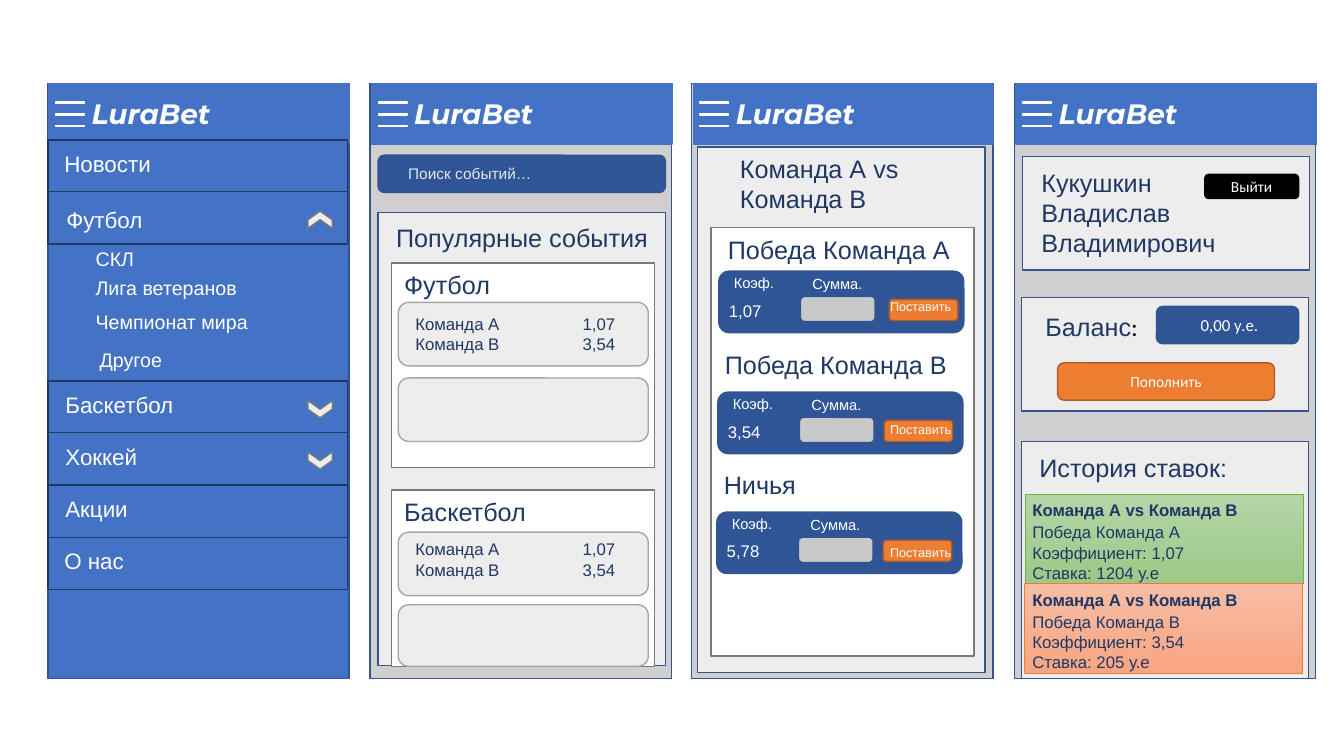
from pptx import Presentation
from pptx.dml.color import RGBColor as Rgb
from pptx.enum.shapes import MSO_SHAPE as Kind
from pptx.enum.text import MSO_ANCHOR as Anchor, MSO_AUTO_SIZE as Fit, PP_ALIGN as Align
from pptx.util import Inches, Pt

HUES = {
    "blue": "4472C4", "deep": "2F5597", "edge": "325491", "navy": "203864",
    "white": "FFFFFF", "black": "000000", "back": "D0CECE", "pale": "EDEDED",
    "mist": "E7E6E6", "field": "C9C9C9", "gray": "A5A5A5", "dark": "7A7A7A",
    "fire": "ED7D31", "rust": "AF5C24", "leaf": "70AD47",
    "green1": "B5D5A7", "green2": "9CC987", "red1": "F7BDA5", "red2": "F8A582",
}
BRAND = "LuraBet"
PHONES = (0.47, 3.67, 6.86, 10.06)
MENU = [
    ("Новости", 1.39, 0.54, 1.44, 1.07, None),
    ("Футбол", 1.9, 0.56, 2.0, 0.97, 270),
    ("Баскетбол", 3.78, 0.55, 3.83, 1.29, 90),
    ("Хоккей", 4.29, 0.55, 4.35, 0.92, 90),
    ("Акции", 4.81, 0.55, 4.86, 0.83, None),
    ("О нас", 5.33, 0.54, 5.38, 0.8, None),
]
LEAGUES = [
    ("СКЛ", 0.85, 2.4, 0.61),
    ("Лига ветеранов", 0.85, 2.69, 1.67),
    ("Чемпионат мира", 0.85, 3.03, 1.72),
    ("Другое", 0.89, 3.4, 0.82),
]
ODDS = "Команда А\t1,07\nКоманда В\t3,54"
SPORTS = [
    ("Футбол", 1.06, 2.61, 2.03, 3.06, ((3.0, 0.63), (3.75, 0.63))),
    ("Баскетбол", 1.42, 4.86, 1.75, 5.3, ((5.28, 0.63), (6.0, 0.61))),
]
BETS = [
    ("Победа Команда А", 7.12, 2.28, 2.43, "1,07", 7.13, 2.69, 8.82, 2.92),
    ("Победа Команда В", 7.09, 3.42, 2.43, "3,54", 7.12, 3.89, 8.77, 4.14),
    ("Ничья", 7.08, 4.61, 0.92, "5,78", 7.11, 5.08, 8.76, 5.36),
]
MATCH = "Команда А vs Команда В"
PAST = [
    ("Победа Команда А\nКоэффициент: 1,07\nСтавка: 1204 у.е", 10.17, 4.9, "green1", "green2", "leaf"),
    ("Победа Команда В\nКоэффициент: 3,54\nСтавка: 205 у.е", 10.16, 5.79, "red1", "red2", "fire"),
]

deck = Presentation()
deck.slide_width, deck.slide_height = Inches(13.33), Inches(7.5)
slide = deck.slides.add_slide(deck.slide_layouts[6])


def hue(name):
    return Rgb.from_string(HUES[name])


def style(par, size, color, face="Arial", bold=False, slant=False):
    for run in par.runs:
        font = run.font
        font.size, font.name = Pt(size), face
        font.bold, font.italic = bold, slant
        font.color.rgb = hue(color)


def box(x, y, w, h, fill, line, kind=Kind.RECTANGLE, text=None, wide=1):
    shape = slide.shapes.add_shape(kind, Inches(x), Inches(y), Inches(w), Inches(h))
    shape.shadow.inherit = False
    if isinstance(fill, tuple):
        shape.fill.gradient()
        shape.fill.gradient_angle = 270
        for stop, name in zip(shape.fill.gradient_stops, fill):
            stop.color.rgb = hue(name)
    else:
        shape.fill.solid()
        shape.fill.fore_color.rgb = hue(fill)
    shape.line.color.rgb = hue(line)
    shape.line.width = Pt(wide)
    if text:
        frame = shape.text_frame
        frame.text = text
        frame.vertical_anchor = Anchor.MIDDLE
        frame.paragraphs[0].alignment = Align.CENTER
        style(frame.paragraphs[0], 11, "white", "Calibri")
    return shape


def pill(x, y, w, h, fill, line, text=None):
    return box(x, y, w, h, fill, line, Kind.ROUNDED_RECTANGLE, text)


def label(text, x, y, w, h, size, color, wrap=False, **look):
    area = slide.shapes.add_textbox(Inches(x), Inches(y), Inches(w), Inches(h))
    frame = area.text_frame
    frame.word_wrap = wrap
    frame.auto_size = Fit.SHAPE_TO_FIT_TEXT
    frame.text = text
    for par in frame.paragraphs:
        style(par, size, color, **look)
    return frame


def add_tab(par, inch):
    props = par._p.get_or_add_pPr()
    tabs = props.makeelement(props.tag.replace("pPr", "tabLst"), {})
    tab = tabs.makeelement(props.tag.replace("pPr", "tab"), {"pos": str(Inches(inch)), "algn": "l"})
    tabs.append(tab)
    props.append(tabs)


def phone(x):
    box(x, 0.83, 2.99, 5.9, "back", "edge")
    box(x + 0.015, 0.83, 2.98, 0.6, "blue", "blue")
    label(BRAND, x + 0.34, 0.91, 1.42, 0.44, 20, "white", face="Montserrat", bold=True, slant=True)
    for i in range(3):
        box(x + 0.03, 0.99 + 0.115 * i, 0.39, 0.06, "blue", "white", Kind.MATH_MINUS)


def menu():
    box(0.48, 1.42, 2.98, 5.31, "blue", "edge")
    for text, top, x, y, w, turn in MENU:
        box(0.475, top, 2.97, 0.52, "blue", "navy")
        label(text, x, y, w, 0.37, 16, "white")
        if turn:
            arrow = box(3.09, top + 0.16, 0.17, 0.24, "pale", "dark", Kind.CHEVRON)
            arrow.rotation = turn
    for text, x, y, w in LEAGUES:
        label(text, x, y, w, 0.34, 14, "white")


def events():
    pill(3.75, 1.54, 2.85, 0.37, "deep", "edge")
    label("Поиск событий…", 3.95, 1.58, 2.04, 0.29, 11, "mist", True)
    box(3.75, 2.11, 2.85, 4.49, "pale", "edge")
    label("Популярные события", 3.83, 2.16, 2.73, 0.4, 18, "navy")
    for name, w, top, h, y, cards in SPORTS:
        box(3.88, top, 2.61, h, "white", "dark")
        label(name, 3.91, top + 0.01, w, 0.4, 18, "navy")
        for card, tall in cards:
            pill(3.95, card, 2.48, tall, "pale", "gray")
        for par in label(ODDS, 4.02, y, 2.22, 0.5, 12, "navy", True).paragraphs:
            add_tab(par, 1.66)


def bets():
    box(6.92, 1.46, 2.85, 5.21, "pale", "edge")
    label(MATCH, 7.24, 1.47, 2.53, 0.71, 18, "navy", True)
    box(7.05, 2.26, 2.61, 4.25, "white", "dark")
    for name, x, y, w, odd, left, top, key, low in BETS:
        label(name, x, y, w, 0.4, 18, "navy")
        pill(left, top, 2.43, 0.61, "deep", "edge")
        label(odd, left, top + 0.24, 0.53, 0.3, 12, "white")
        pill(left + 0.81, top + 0.25, 0.74, 0.25, "field", "edge")
        label("Коэф.", left + 0.05, top - 0.02, 0.62, 0.29, 10.5, "white")
        label("Сумма.", left + 0.83, top - 0.01, 0.71, 0.28, 10.5, "white")
        pill(key, top + 0.28, 0.68, 0.21, "fire", "rust")
        label("Поставить", 8.73, low, 1.07, 0.25, 9, "white", True)


def account():
    box(10.14, 1.55, 2.85, 1.13, "pale", "edge")
    label("Кукушкин\nВладислав\nВладимирович", 10.23, 1.61, 1.95, 1.01, 18, "navy")
    pill(11.95, 1.73, 0.93, 0.24, "black", "black", "Выйти")
    box(10.13, 2.95, 2.85, 1.13, "pale", "edge")
    par = label("Баланс", 10.27, 3.04, 1.13, 0.4, 18, "navy").paragraphs[0]
    colon = par.add_run()
    colon.text = ":"
    colon.font.size, colon.font.name = Pt(18), "Calibri"
    colon.font.color.rgb = hue("black")
    pill(11.47, 3.04, 1.41, 0.37, "deep", "edge")
    label("0,00 у.е.", 11.81, 3.07, 1.02, 0.3, 12, "white", True, face="Calibri")
    pill(10.49, 3.6, 2.15, 0.37, "fire", "rust", "Пополнить")
    box(10.13, 4.38, 2.85, 2.35, "pale", "edge")
    label("История ставок:", 10.21, 4.44, 2.08, 0.4, 18, "navy")
    for text, x, y, light, deep, line in PAST:
        box(x, y, 2.76, 0.89, (light, deep), line, wide=0.5)
        label(MATCH, 10.14, y + 0.01, 2.59, 0.3, 12, "navy", True, bold=True)
        label(text, 10.14, y + 0.23, 2.59, 0.71, 12, "navy", True)


for left, screen in zip(PHONES, (menu, events, bets, account)):
    phone(left)
    screen()

deck.save("out.pptx")
